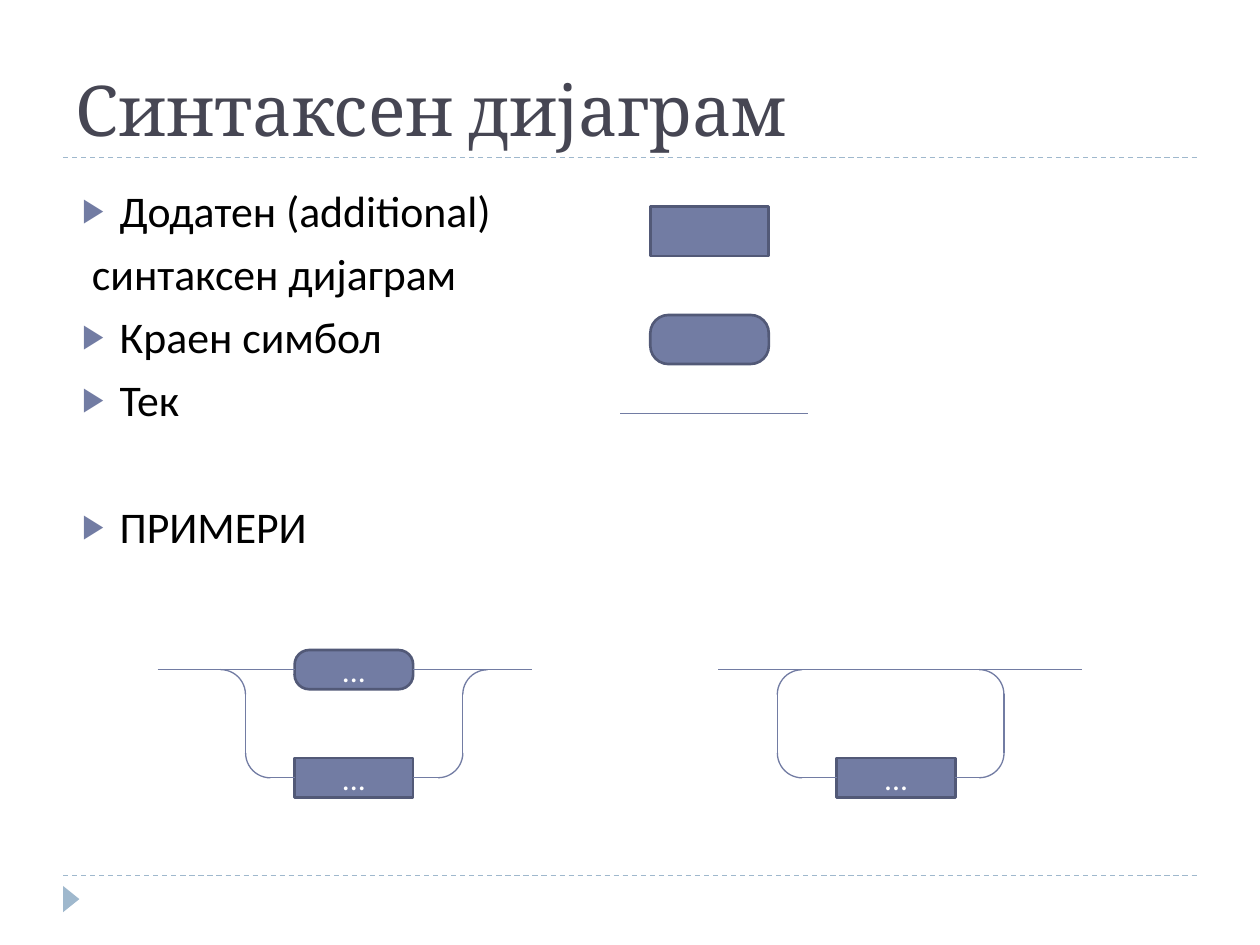
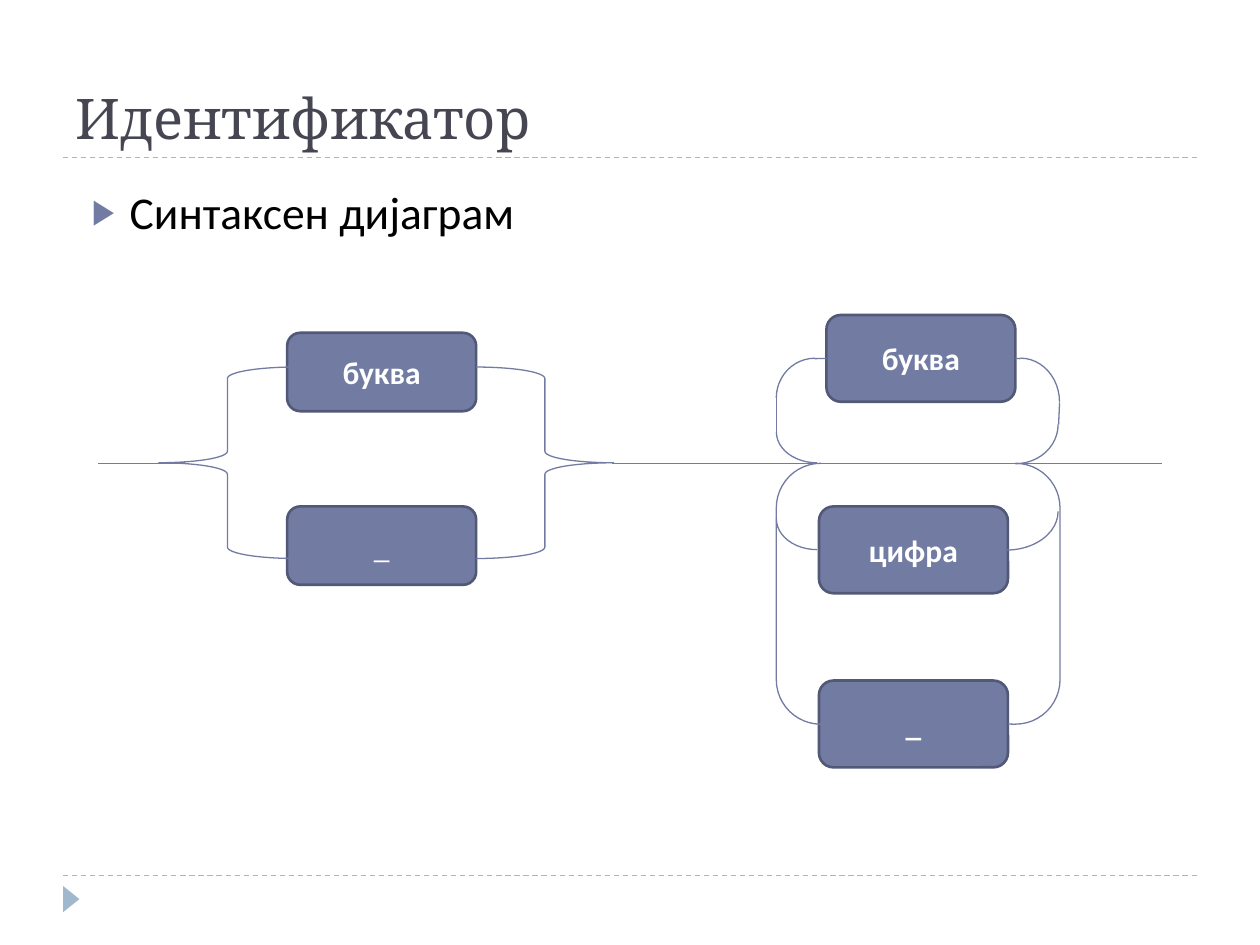
from dataclasses import dataclass

from lxml.etree import SubElement
from pptx import Presentation
from pptx.dml.color import RGBColor
from pptx.enum.dml import MSO_LINE
from pptx.enum.shapes import MSO_CONNECTOR, MSO_SHAPE as SHAPE
from pptx.enum.text import MSO_ANCHOR, MSO_AUTO_SIZE, PP_ALIGN
from pptx.oxml.ns import qn
from pptx.util import Cm, Pt


@dataclass(frozen=True)
class Theme:
    ink: str = "000000"
    title: str = "464653"
    fill: str = "727CA3"
    edge: str = "525977"
    frame: str = "9FB8CD"
    white: str = "FFFFFF"
    head_font: str = "Cambria"
    body_font: str = "Calibri"
    label_size: int = 18
    thin: float = 0.75
    thick: float = 1.5
    gap: float = 6


T = Theme()

# ---- Content (lengths in cm) ----
# Bullet items: text, has a bullet, space before in points
SYNTAX = dict(
    title="Синтаксен дијаграм", title_size=40, size=25,
    body=(1.4, 3.58, 22.86, 13.44),
    items=[
        ("Додатен (additional)", True, T.gap),
        ("синтаксен дијаграм", False, T.gap),
        ("Краен симбол", True, T.gap),
        ("Тек", True, T.gap),
        ("ПРИМЕРИ", True, 42.5),
    ],
)
IDENTIFIER = dict(
    title="Идентификатор", title_size=32, size=26,
    body=(1.6, 3.58, 22.86, 13.72),
    items=[("Синтаксен дијаграм", True, T.gap)],
)

# Examples on the first slide
RAIL_Y, LOW_Y, RADIUS = 13.5, 15.68, 0.5
SYMBOL_W, SYMBOL_H, LEGEND_H = 2.39, 0.79, 0.99
LEGEND_X, LEGEND_NONTERMINAL_Y, LEGEND_TERMINAL_Y = 13.11, 4.17, 6.35
FLOW = (12.5, 8.33, 16.28, 8.33)
TERMINAL_ROUNDING = 0.372
CHOICE = dict(x=5.94, rail=(3.18, 10.72), sides=(4.95, 9.33))
REPEAT = dict(x=16.87, rail=(14.48, 21.82), sides=(15.67, 20.24))

# Identifier diagram: text, left, top, height, bold
ID_RAIL_Y, ID_BOX_W = 9.34, 3.81
ID_BOXES = [
    ("буква", 5.79, 6.71, 1.58, True),
    ("буква", 16.66, 6.35, 1.75, True),
    ("_", 5.79, 10.21, 1.58, False),
    ("_", 16.51, 13.72, 1.75, True),
    ("цифра", 16.51, 10.21, 1.75, True),
]
ID_LINES = [
    (1.98, ID_RAIL_Y, 3.71, ID_RAIL_Y),
    (12.34, ID_RAIL_Y, 23.42, ID_RAIL_Y),
    (15.65, 8.02, 15.65, 8.71),
    (21.36, 8.11, 21.34, 8.56),
]
# Lines that end at a box: start x, y, index of the box, side
ID_JOINS = [(16.42, 7.23, 1, 1), (20.57, 7.23, 1, 3), (20.48, 14.6, 3, 3)]
# Quarter arcs: centre x, centre y, radius x, radius y, quadrant
ID_ARCS = [
    (16.47, 10.46, 0.82, 0.62, "bl"),
    (20.29, 10.31, 1.04, 0.78, "br"),
    (16.47, 8.71, 0.82, 0.62, "bl"),
    (20.47, 8.56, 0.86, 0.79, "br"),
    (20.57, 8.1, 0.79, 0.88, "tr"),
    (16.43, 8.02, 0.78, 0.8, "tl"),
]
ID_OUTLINES = [
    (SHAPE.DOUBLE_BRACKET, (15.65, 9.34, 5.72, 5.26), 0.171),
    (SHAPE.LEFT_BRACE, (3.2, 7.4, 2.77, 3.86), 0.083),
    (SHAPE.RIGHT_BRACE, (9.6, 7.4, 2.77, 3.86), 0.083),
]
TURN = {"tr": 0, "br": 90, "bl": 180, "tl": 270}


# ---- Helpers ----
def rgb(color):
    return RGBColor.from_string(color)


def write(p, text, size=T.label_size, font=T.body_font, color=T.ink,
          bold=False, align=PP_ALIGN.LEFT, before=0):
    p.alignment = align
    p.space_before = Pt(before)
    r = p.add_run()
    r.text = text
    r.font.size, r.font.name, r.font.bold = Pt(size), font, bold
    r.font.color.rgb = rgb(color)


def place(sp, at):
    sp.left, sp.top, sp.width, sp.height = map(Cm, at)


def set_bullet(p, has_bullet):
    pPr = p._p.get_or_add_pPr()
    pPr.set("marL", str(Cm(0.76 if has_bullet else 0.2)))
    pPr.set("indent", str(Cm(-0.76 if has_bullet else 0)))
    if not has_bullet:
        SubElement(pPr, qn("a:buNone"))
        return
    SubElement(SubElement(pPr, qn("a:buClr")), qn("a:srgbClr"), val=T.fill)
    SubElement(pPr, qn("a:buSzPct"), val="76000")
    SubElement(pPr, qn("a:buChar"), char="▶")


def shape(shapes, kind, at, fill=None, line=None, width=T.thin, adj=None):
    sp = shapes.add_shape(kind, *map(Cm, at))
    sp.shadow.inherit = False
    if fill:
        sp.fill.solid()
        sp.fill.fore_color.rgb = rgb(fill)
    else:
        sp.fill.background()
    if line:
        sp.line.color.rgb, sp.line.width = rgb(line), Pt(width)
    else:
        sp.line.fill.background()
    if adj is not None:
        sp.adjustments[0] = adj
    return sp


def box(shapes, at, text="", rounding=None, bold=False, wrap=True):
    kind = SHAPE.RECTANGLE if rounding is None else SHAPE.ROUNDED_RECTANGLE
    sp = shape(shapes, kind, at, T.fill, T.edge, T.thick, rounding)
    if text:
        tf = sp.text_frame
        tf.word_wrap, tf.vertical_anchor = wrap, MSO_ANCHOR.MIDDLE
        write(tf.paragraphs[0], text, color=T.white, bold=bold,
              align=PP_ALIGN.CENTER)
    return sp


def line(shapes, x1, y1, x2, y2, color=T.fill, dash=None):
    c = shapes.add_connector(MSO_CONNECTOR.STRAIGHT, *map(Cm, (x1, y1, x2, y2)))
    c.line.color.rgb, c.line.width = rgb(color), Pt(T.thin)
    if dash:
        c.line.dash_style = dash
    SubElement(c._element.spPr, qn("a:effectLst"))
    return c


def join(shapes, x, y, target, side):
    edge = target.left if side == 1 else target.left + target.width
    c = line(shapes, x, y, edge / Cm(1), y)
    c.end_connect(target, side)


def arc(shapes, cx, cy, rx, ry, quadrant):
    turn = TURN[quadrant]
    if turn % 180:
        rx, ry = ry, rx
    sp = shape(shapes, SHAPE.ARC, (cx - rx, cy - ry, 2 * rx, 2 * ry), line=T.fill)
    sp.rotation = turn


def detour(shapes, target, sides, flared):
    """Track from the rail down to both sides of the target box."""
    top, bottom = RAIL_Y + RADIUS, LOW_Y - RADIUS
    for x, inward, site in zip(sides, (1, -1), (1, 3)):
        low_x = x + inward * RADIUS
        high_x = x - inward * RADIUS if flared else low_x
        arc(shapes, high_x, top, RADIUS, RADIUS, "tl" if high_x > x else "tr")
        line(shapes, x, top, x, bottom)
        arc(shapes, low_x, bottom, RADIUS, RADIUS, "bl" if low_x > x else "br")
        join(shapes, low_x, LOW_Y, target, site)


def symbol(shapes, x, mid_y, rounding=None):
    at = (x, mid_y - SYMBOL_H / 2, SYMBOL_W, SYMBOL_H)
    return box(shapes, at, "...", rounding, wrap=False)


# ---- Slides ----
def new_slide(prs, title, title_size, size, body, items):
    s = prs.slides.add_slide(prs.slide_layouts[1])
    # Frame lines and corner mark
    for y in (17.65, 3.18):
        line(s.shapes, 1.27, y, 24.13, y, T.frame, MSO_LINE.DASH)
    mark = shape(s.shapes, SHAPE.ISOSCELES_TRIANGLE, (1.17, 17.96, 0.53, 0.33), T.frame)
    mark.rotation = 90
    # Title and list
    place(s.shapes.title, (1.27, 0.43, 22.86, 2.74))
    tf = s.shapes.title.text_frame
    tf.auto_size, tf.vertical_anchor = MSO_AUTO_SIZE.NONE, MSO_ANCHOR.BOTTOM
    write(tf.paragraphs[0], title, size=title_size, font=T.head_font, color=T.title)
    ph = s.placeholders[1]
    place(ph, body)
    tf = ph.text_frame
    tf.auto_size = MSO_AUTO_SIZE.NONE
    for i, (text, has_bullet, before) in enumerate(items):
        p = tf.add_paragraph() if i else tf.paragraphs[0]
        write(p, text, size=size, before=before)
        set_bullet(p, has_bullet)
    return s


def build_syntax(prs):
    s = new_slide(prs, **SYNTAX)
    # Legend
    for y, rounding in ((LEGEND_TERMINAL_Y, TERMINAL_ROUNDING),
                        (LEGEND_NONTERMINAL_Y, None)):
        box(s.shapes, (LEGEND_X, y, SYMBOL_W, LEGEND_H), rounding=rounding)
    line(s.shapes, *FLOW)
    # Choice between two symbols
    g = s.shapes.add_group_shape().shapes
    terminal = symbol(g, CHOICE["x"], RAIL_Y, TERMINAL_ROUNDING)
    for x, site in zip(CHOICE["rail"], (1, 3)):
        join(g, x, RAIL_Y, terminal, site)
    detour(g, symbol(g, CHOICE["x"], LOW_Y), CHOICE["sides"], flared=True)
    # Repetition
    g = s.shapes.add_group_shape().shapes
    start, end = REPEAT["rail"]
    line(g, start, RAIL_Y, end, RAIL_Y)
    detour(g, symbol(g, REPEAT["x"], LOW_Y), REPEAT["sides"], flared=False)


def build_identifier(prs):
    s = new_slide(prs, **IDENTIFIER)
    g = s.shapes.add_group_shape().shapes
    boxes = [box(g, (x, y, ID_BOX_W, h), text, 0.167, bold)
             for text, x, y, h, bold in ID_BOXES]
    for kind, at, adj in ID_OUTLINES:
        shape(g, kind, at, line=T.fill, adj=adj)
    for ends in ID_LINES:
        line(g, *ends)
    for quarter in ID_ARCS:
        arc(g, *quarter)
    for x, y, index, side in ID_JOINS:
        join(g, x, y, boxes[index], side)


def main():
    prs = Presentation()
    prs.slide_width, prs.slide_height = Cm(25.4), Cm(19.05)
    build_syntax(prs)
    build_identifier(prs)
    prs.save("out.pptx")


if __name__ == "__main__":
    main()
